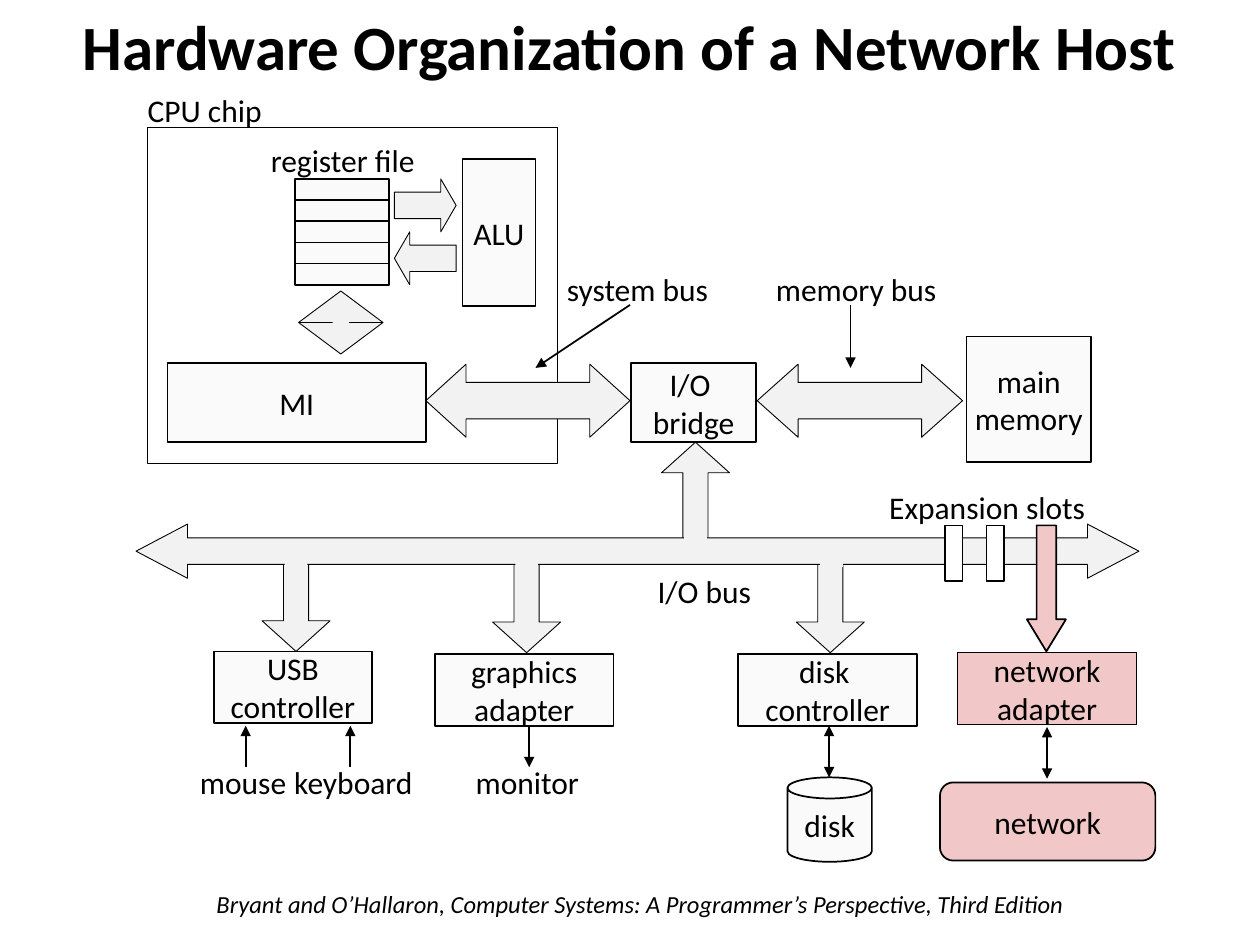
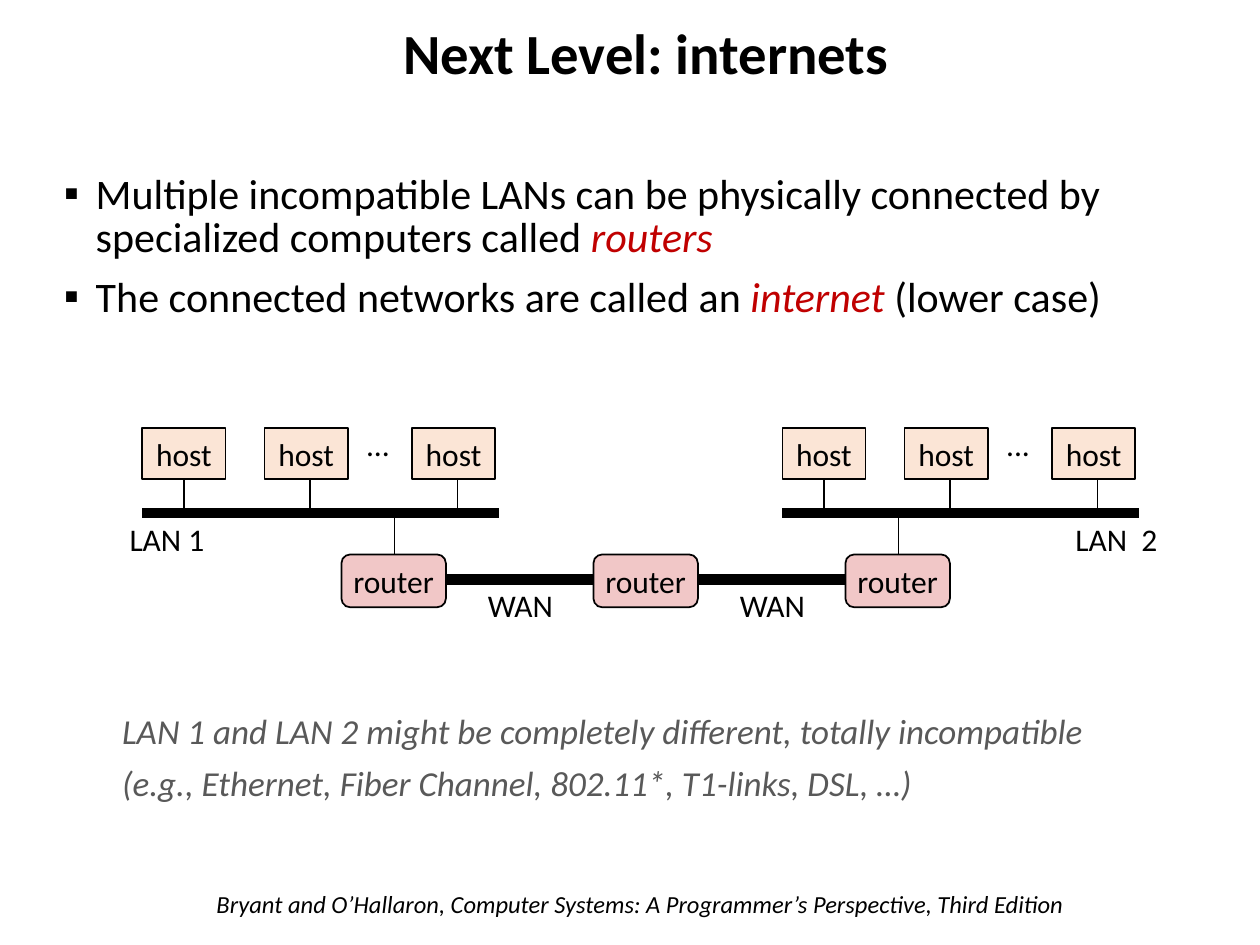
from lxml.etree import SubElement
from pptx import Presentation
from pptx.dml.color import RGBColor
from pptx.enum.shapes import MSO_CONNECTOR, MSO_SHAPE
from pptx.enum.text import MSO_ANCHOR, MSO_AUTO_SIZE, PP_ALIGN
from pptx.oxml.ns import qn
from pptx.util import Inches, Pt

BLACK = RGBColor(0x00, 0x00, 0x00)
WHITE = RGBColor(0xFF, 0xFF, 0xFF)
PALE = RGBColor(0xFA, 0xFA, 0xFA)
GRAY = RGBColor(0xF2, 0xF2, 0xF2)
PINK = RGBColor(0xF1, 0xC7, 0xC7)
PEACH = RGBColor(0xFB, 0xE5, 0xD6)
RED = RGBColor(0xC0, 0x00, 0x00)
DIM = RGBColor(0x59, 0x59, 0x59)
FONT = "Calibri"
RECT = MSO_SHAPE.RECTANGLE
ROUND = MSO_SHAPE.ROUNDED_RECTANGLE
DOWN = MSO_SHAPE.DOWN_ARROW
WIDE = MSO_SHAPE.LEFT_RIGHT_ARROW


def box(page, kind, at, text="", fill=None, edge=1, adj=()):
    at = [Inches(v) for v in at]
    if kind is None:
        shape = page.shapes.add_textbox(*at)
    else:
        shape = page.shapes.add_shape(kind, *at)
        shape.shadow.inherit = False
        for i, value in enumerate(adj):
            shape.adjustments[i] = value
        if fill is None:
            shape.fill.background()
        else:
            shape.fill.solid()
            shape.fill.fore_color.rgb = fill
        if edge:
            shape.line.color.rgb = BLACK
            shape.line.width = Pt(edge)
        else:
            shape.line.fill.background()
    if text:
        frame = shape.text_frame
        frame.text = text
        frame.word_wrap = False
        frame.vertical_anchor = MSO_ANCHOR.MIDDLE
        for para in frame.paragraphs:
            para.alignment = PP_ALIGN.CENTER
            para.font.name = FONT
            para.font.size = Pt(18)
            para.font.color.rgb = BLACK


def line(page, x1, y1, x2, y2, width=1, ends=()):
    ends_at = [Inches(v) for v in (x1, y1, x2, y2)]
    link = page.shapes.add_connector(MSO_CONNECTOR.STRAIGHT, *ends_at)
    link.line.color.rgb = BLACK
    link.line.width = Pt(width)
    props = link.element.spPr
    for end in ends:
        SubElement(props.find(qn("a:ln")), qn(f"a:{end}End"), type="triangle")
    SubElement(props, qn("a:effectLst"))


deck = Presentation()
deck.slide_width, deck.slide_height = Inches(10), Inches(7.5)

pages = []
for layout, name, size, at in (
    (5, "Hardware Organization of a Network Host", 36, (0.23, -0.03, 9.53, 0.85)),
    (1, "Next Level: internets", 32.4, (1.6, 0.13, 7.05, 0.63)),
):
    page = deck.slides.add_slide(deck.slide_layouts[layout])
    pages.append(page)
    title = page.shapes.title
    title.left, title.top, title.width, title.height = [Inches(v) for v in at]
    frame = title.text_frame
    frame.text = name
    frame.auto_size = MSO_AUTO_SIZE.NONE
    frame.vertical_anchor = MSO_ANCHOR.MIDDLE
    para = frame.paragraphs[0]
    para.alignment = PP_ALIGN.CENTER
    para.line_spacing = 0.9
    para.font.name = FONT
    para.font.size = Pt(size)
    para.font.bold = True
    para.font.color.rgb = BLACK

    foot = page.shapes.add_textbox(Inches(1.62), Inches(7.01), Inches(7.1), Inches(0.34))
    foot.text_frame.word_wrap = True
    para = foot.text_frame.paragraphs[0]
    para.text = "Bryant and O’Hallaron, Computer Systems: A Programmer’s Perspective, Third Edition"
    para.font.name = FONT
    para.font.size = Pt(14)
    para.font.italic = True
    para.font.color.rgb = BLACK

host, net = pages

box(host, RECT, (1.17, 1.01, 3.25, 2.67), edge=0.25)
for row in range(5):
    box(host, RECT, (2.34, 1.42 + row * 0.168, 0.75, 0.168), fill=PALE)

for kind, at, adj in (
    (MSO_SHAPE.RIGHT_ARROW, (3.13, 1.42, 0.49, 0.42), (0.5, 0.29)),
    (MSO_SHAPE.LEFT_ARROW, (3.13, 1.84, 0.49, 0.42), (0.5, 0.29)),
    (MSO_SHAPE.UP_DOWN_ARROW, (2.37, 2.31, 0.67, 0.5), (0.5, 0.2)),
    (WIDE, (3.38, 2.89, 1.62, 0.58), (0.5, 0.55)),
    (WIDE, (6.01, 2.89, 1.63, 0.58), (0.5, 0.56)),
    (MSO_SHAPE.UP_ARROW, (5.25, 3.51, 0.54, 0.83), (0.37, 0.45)),
    (DOWN, (2.08, 4.38, 0.54, 0.79), (0.37, 0.45)),
    (DOWN, (3.91, 4.4, 0.54, 0.78), (0.37, 0.45)),
    (DOWN, (6.32, 4.4, 0.54, 0.78), (0.37, 0.45)),
    (WIDE, (1.08, 4.16, 7.96, 0.43), (0.49, 0.95)),
):
    box(host, kind, at, fill=GRAY, edge=0.5, adj=adj)

for x, y in ((2.26, 4.35), (4.09, 4.34), (6.51, 4.33), (5.43, 4.26)):
    box(host, RECT, (x, y, 0.18, 0.17), fill=GRAY, edge=0)
for x in (7.5, 7.83):
    box(host, RECT, (x, 4.17, 0.14, 0.44), fill=WHITE)
box(host, DOWN, (8.15, 4.17, 0.31, 1), fill=PINK, adj=(0.5, 0.82))

for text, at, fill in (
    ("ALU", (3.67, 1.26, 0.58, 1.17), PALE),
    ("MI", (1.33, 2.88, 2.05, 0.63), PALE),
    ("I/O \nbridge", (5.01, 2.88, 0.99, 0.63), PALE),
    ("main\nmemory", (7.67, 2.67, 0.99, 1), PALE),
    ("USB\ncontroller", (1.7, 5.17, 1.25, 0.57), PALE),
    ("graphics\nadapter", (3.45, 5.19, 1.42, 0.57), PALE),
    ("disk \ncontroller", (5.86, 5.19, 1.42, 0.57), PALE),
    ("network\nadapter", (7.6, 5.18, 1.42, 0.57), PINK),
):
    box(host, RECT, at, text, fill)
box(host, MSO_SHAPE.CAN, (6.25, 6.17, 0.67, 0.67), "disk", PALE, adj=(0.25,))
box(host, ROUND, (7.46, 6.21, 1.71, 0.62), "network", PINK, adj=(0.17,))

for text, x, y, width in (
    ("CPU chip", 1.06, 0.67, 1.13),
    ("register file", 2.03, 1.07, 1.38),
    ("system bus", 4.38, 2.09, 1.36),
    ("memory bus", 6.04, 2.09, 1.51),
    ("Expansion slots", 6.93, 3.82, 1.81),
    ("I/O bus", 5.1, 4.49, 0.98),
    ("mouse", 1.48, 6.01, 0.9),
    ("keyboard", 2.22, 6.01, 1.17),
    ("monitor", 3.66, 6.01, 1.05),
):
    box(host, None, (x, y, width, 0.4), text)

for x1, y1, x2, y2, ends in (
    (5, 2.42, 4.25, 2.92, ["tail"]),
    (6.75, 2.42, 6.75, 2.92, ["tail"]),
    (1.95, 5.76, 1.95, 6.09, ["head"]),
    (2.78, 5.76, 2.78, 6.09, ["head"]),
    (4.2, 5.76, 4.2, 6.09, ["tail"]),
    (6.58, 5.76, 6.58, 6.17, ["head", "tail"]),
    (8.31, 5.77, 8.31, 6.18, ["head", "tail"]),
):
    line(host, x1, y1, x2, y2, ends=ends)

body = net.placeholders[1]
body.left, body.top, body.width, body.height = [Inches(v) for v in (0.41, 1.34, 9.09, 1.33)]
frame = body.text_frame
frame.auto_size = MSO_AUTO_SIZE.NONE
points = (
    (("Multiple incompatible LANs can be physically connected by specialized computers called ", False),
     ("routers", True)),
    (("The connected networks are called an ", False), ("internet ", True), ("(lower case)", False)),
)
for i, point in enumerate(points):
    para = frame.add_paragraph() if i else frame.paragraphs[0]
    para.line_spacing = 0.85
    para.space_before = Pt(10 if i else 0)
    props = para._p.get_or_add_pPr()
    props.set("marL", str(Inches(0.25)))
    props.set("indent", str(-Inches(0.25)))
    SubElement(props, qn("a:buFont"), typeface=FONT)
    SubElement(props, qn("a:buChar"), char="▪")
    para.font.name = FONT
    para.font.size = Pt(24)
    for text, term in point:
        run = para.add_run()
        run.text = text
        run.font.italic = term
        run.font.color.rgb = RED if term else BLACK

for left in (1.13, 6.21):
    line(net, left, 4.07, left + 2.83, 4.07, 6)
    for gap, stub in ((0, 0.33), (0.97, 1.33), (2.14, 2.5)):
        line(net, left + stub, 3.74, left + stub, 4.07)
        box(net, RECT, (left + gap, 3.4, 0.66, 0.4), "host", PEACH)
    box(net, None, (left + 1.67, 3.32, 0.4, 0.4), "...")

for x in (3.13, 7.13):
    line(net, x, 4.07, x, 4.4)
for x in (3.46, 5.46):
    line(net, x, 4.6, x + 1.34, 4.6, 6)
    box(net, None, (x + 0.3, 4.6, 0.74, 0.4), "WAN")
for x in (2.71, 4.71, 6.71):
    box(net, ROUND, (x, 4.4, 0.83, 0.42), "router", PINK, adj=(0.17,))
box(net, None, (0.92, 4.08, 0.81, 0.4), "LAN 1")
box(net, None, (8.42, 4.08, 0.88, 0.4), "LAN  2")

note = net.shapes.add_textbox(Inches(0.87), Inches(5.58), Inches(8.88), Inches(0.86))
frame = note.text_frame
frame.word_wrap = True
frame.text = (
    "LAN 1 and LAN 2 might be completely different, totally incompatible\n"
    "(e.g., Ethernet, Fiber Channel, 802.11*, T1-links, DSL, …)"
)
for para in frame.paragraphs:
    para.font.name = FONT
    para.font.size = Pt(20)
    para.font.italic = True
    para.font.color.rgb = DIM
frame.paragraphs[1].space_before = Pt(6)

deck.save("out.pptx")
